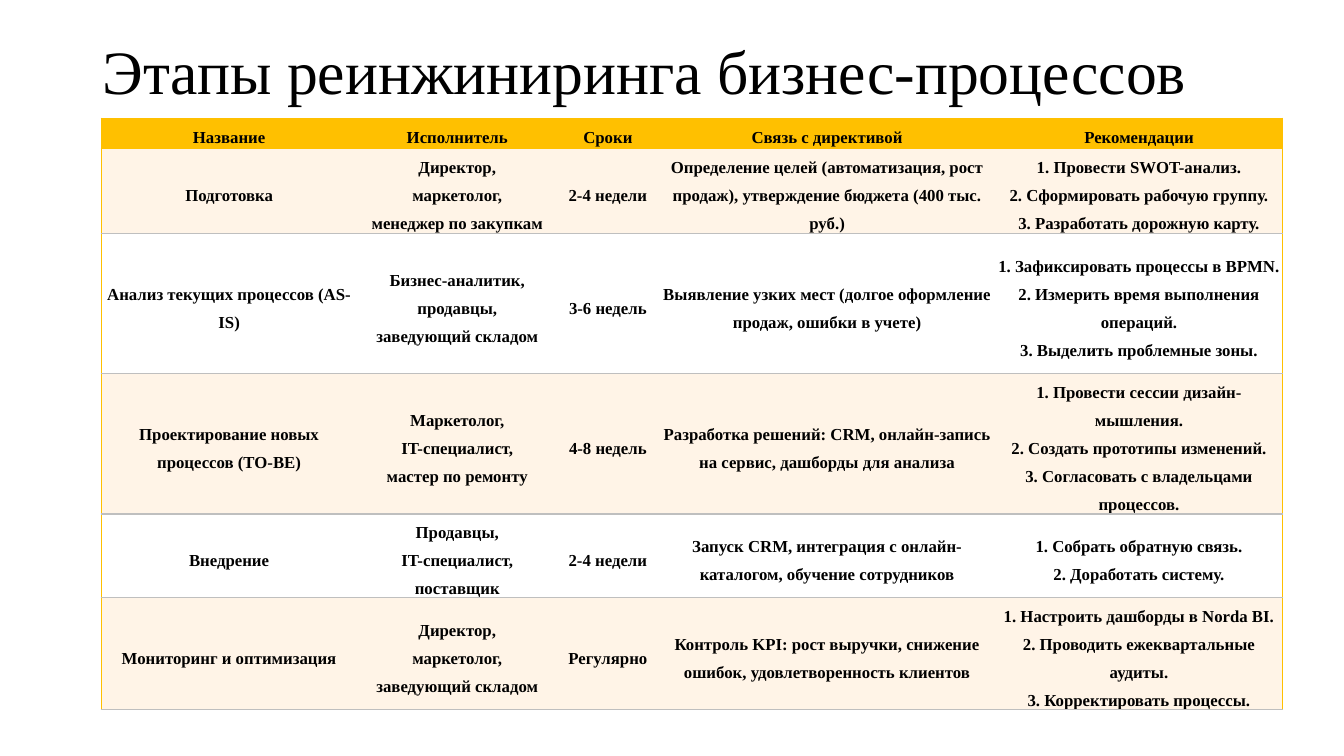
from lxml.etree import SubElement
from pptx import Presentation
from pptx.dml.color import RGBColor
from pptx.enum.text import MSO_ANCHOR, PP_ALIGN
from pptx.oxml.ns import qn
from pptx.util import Cm, Pt

TITLE = "Этапы реинжиниринга бизнес-процессов"
HEADINGS = ("Название", "Исполнитель", "Сроки", "Связь с директивой", "Рекомендации")
STAGES = [
    ("Подготовка",
     ("Директор,", "маркетолог,", "менеджер по закупкам"),
     "2-4 недели",
     "Определение целей (автоматизация, рост продаж), утверждение бюджета (400 тыс. руб.)",
     ("Провести SWOT-анализ.", "Сформировать рабочую группу.",
      "Разработать дорожную карту.")),
    ("Анализ текущих процессов (AS-IS)",
     ("Бизнес-аналитик, продавцы,", "заведующий складом"),
     "3-6 недель",
     "Выявление узких мест (долгое оформление продаж, ошибки в учете)",
     ("Зафиксировать процессы в BPMN.", "Измерить время выполнения операций.",
      "Выделить проблемные зоны.")),
    ("Проектирование новых процессов (TO-BE)",
     ("Маркетолог,", "IT-специалист,", "мастер по ремонту"),
     "4-8 недель",
     "Разработка решений: CRM, онлайн-запись на сервис, дашборды для анализа",
     ("Провести сессии дизайн-мышления.", "Создать прототипы изменений.",
      "Согласовать с владельцами процессов.")),
    ("Внедрение",
     ("Продавцы,", "IT-специалист,", "поставщик"),
     "2-4 недели",
     "Запуск CRM, интеграция с онлайн-каталогом, обучение сотрудников",
     ("Собрать обратную связь.", "Доработать систему.")),
    ("Мониторинг и оптимизация",
     ("Директор,", "маркетолог,", "заведующий складом"),
     "Регулярно",
     "Контроль KPI: рост выручки, снижение ошибок, удовлетворенность клиентов",
     ("Настроить дашборды в Norda BI.", "Проводить ежеквартальные аудиты.",
      "Корректировать процессы.")),
]

COLORS = {"text": "000000", "gold": "FFC000", "cream": "FFF4E7",
          "white": "FFFFFF", "rule": "BFBFBF"}
FONT = "Times New Roman"
COLUMN_WIDTHS = (6.45, 5.05, 2.54, 8.51, 7.21)
ROW_HEIGHTS = (0.76, 2.15, 3.53, 3.53, 2.11, 2.82)
TITLE_BOX = {"left": Cm(2.33), "top": Cm(0.05), "width": Cm(29.21), "height": Cm(3.68)}
CELL_FORMAT = {"margin_left": Cm(0.05), "margin_right": Cm(0.05), "margin_top": 0,
               "margin_bottom": 0, "vertical_anchor": MSO_ANCHOR.MIDDLE}
TITLE_FONT = {"name": FONT, "size": Pt(44), "bold": False}
CELL_FONT = {"name": FONT, "size": Pt(12), "bold": True}
TITLE_PARAGRAPH = {"alignment": PP_ALIGN.LEFT, "line_spacing": 0.9}
CELL_PARAGRAPH = {"alignment": PP_ALIGN.CENTER, "line_spacing": 1.5}


def apply(target, values):
    for key, value in values.items():
        setattr(target, key, value)


def write(frame, text, paragraph_format, font_format):
    frame.text = text
    for paragraph in frame.paragraphs:
        apply(paragraph, paragraph_format)
        for run in paragraph.runs:
            apply(run.font, font_format)
            run.font.color.rgb = RGBColor.from_string(COLORS["text"])


def draw_border(cell, side, color):
    border = SubElement(cell._tc.get_or_add_tcPr(), qn(f"a:ln{side}"), w=str(Pt(1)))
    if color is None:
        SubElement(border, qn("a:noFill"))
    else:
        solid = SubElement(border, qn("a:solidFill"))
        SubElement(solid, qn("a:srgbClr"), val=COLORS[color])


def stage_texts(stage):
    name, performers, duration, directive, advice = stage
    numbered = [f"{number}. {step}" for number, step in enumerate(advice, 1)]
    return name, "\n".join(performers), duration, directive, "\v".join(numbered)


def main():
    deck = Presentation()
    deck.slide_width, deck.slide_height = Cm(33.87), Cm(19.05)
    slide = deck.slides.add_slide(deck.slide_layouts[5])

    title = slide.shapes.title
    apply(title, TITLE_BOX)
    write(title.text_frame, TITLE, TITLE_PARAGRAPH, TITLE_FONT)
    title.text_frame.vertical_anchor = MSO_ANCHOR.MIDDLE

    rows = [HEADINGS] + [stage_texts(stage) for stage in STAGES]
    table = slide.shapes.add_table(
        len(rows), len(HEADINGS), Cm(2.55), Cm(2.98),
        Cm(sum(COLUMN_WIDTHS)), Cm(sum(ROW_HEIGHTS))).table
    for column, width in zip(table.columns, COLUMN_WIDTHS):
        column.width = Cm(width)
    for row, height in zip(table.rows, ROW_HEIGHTS):
        row.height = Cm(height)

    last_column = len(HEADINGS) - 1
    for r, texts in enumerate(rows):
        fill = "gold" if r == 0 else "cream" if r % 2 else "white"
        for c, text in enumerate(texts):
            cell = table.cell(r, c)
            apply(cell, CELL_FORMAT)
            write(cell.text_frame, text, CELL_PARAGRAPH, CELL_FONT)
            borders = {"L": "gold" if c == 0 else None,
                       "R": "gold" if c == last_column else None,
                       "T": "gold" if r < 2 else "rule",
                       "B": "gold" if r == 0 else "rule"}
            for side, color in borders.items():
                draw_border(cell, side, color)
            cell.fill.solid()
            cell.fill.fore_color.rgb = RGBColor.from_string(COLORS[fill])

    deck.save("out.pptx")


if __name__ == "__main__":
    main()
